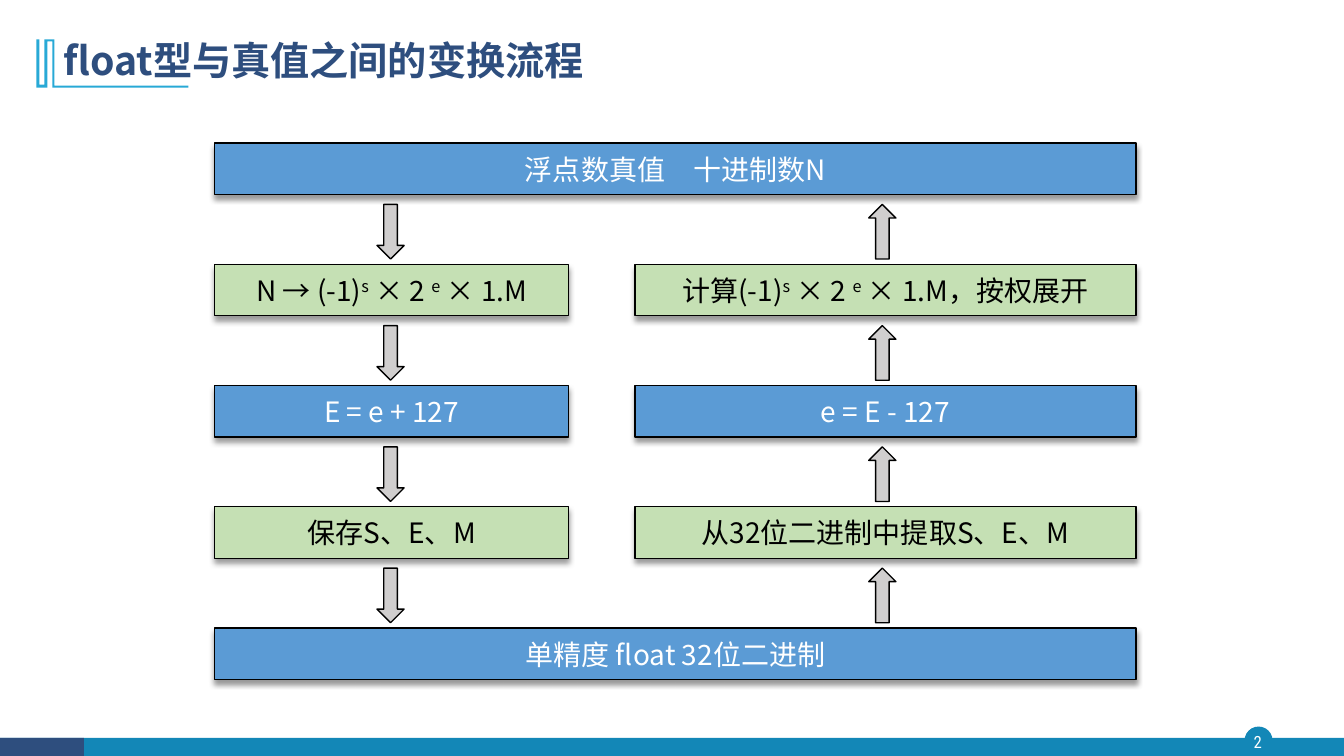
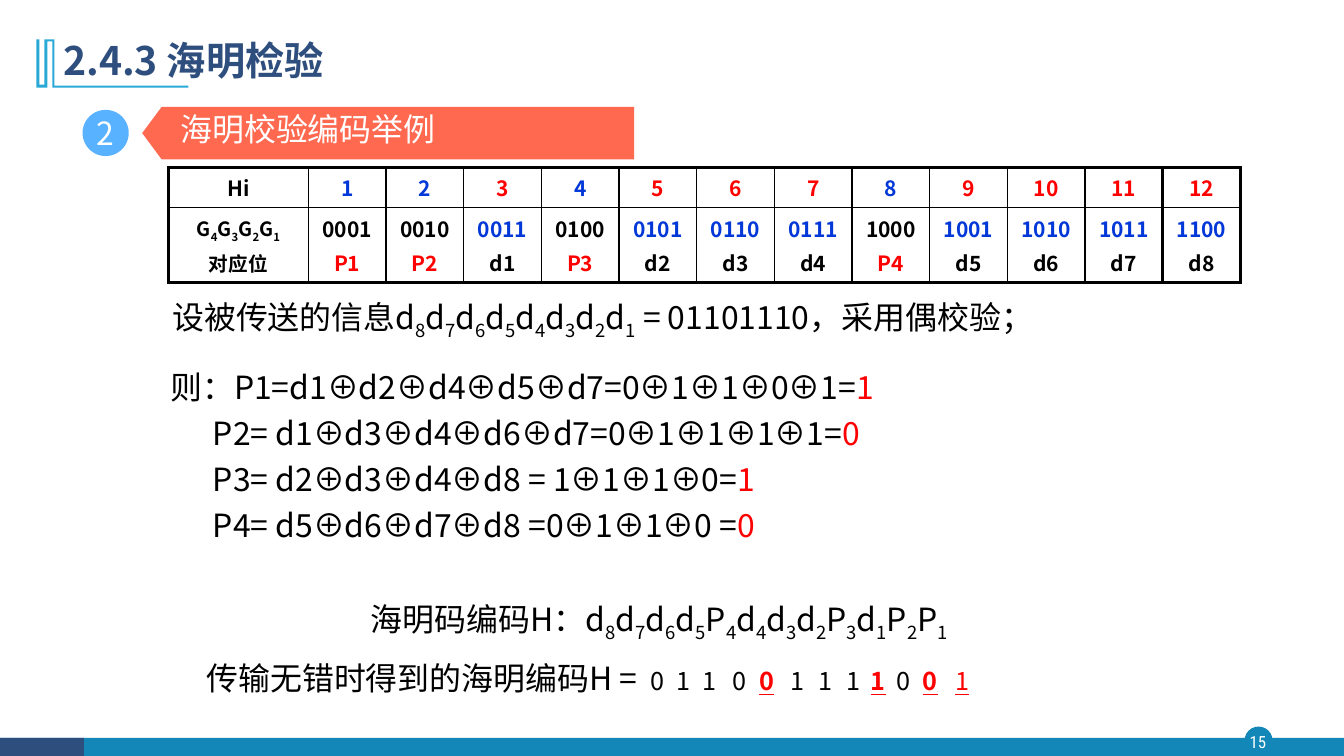
import pptx
import pptx.dml.color
import pptx.enum.shapes
import pptx.enum.text
import pptx.oxml.ns
import pptx.util
from lxml import etree

Pt = pptx.util.Pt
SHAPE = pptx.enum.shapes.MSO_SHAPE
ALIGN = pptx.enum.text.PP_ALIGN
MIDDLE = pptx.enum.text.MSO_ANCHOR.MIDDLE
qn = pptx.oxml.ns.qn

# Shared look
FONT = "Noto Sans CJK SC"
NUMBER_FONT = "Roboto Condensed"
COLORS = {
    "navy": "2E4E7E", "teal": "1387B7", "cyan": "28A9D6",
    "white": "FFFFFF", "black": "000000", "red": "FF0000", "blue": "0237D8",
    "box_blue": "5B9BD5", "box_green": "C5E0B4", "arrow": "D0CECE",
    "badge": "59B2FF", "banner": "FF6950",
}
BODY_SIZE = 22.8
# Title ornament outline, in tenths of a point
ORNAMENT = [(389, 281), (389, 612), (1346, 612), (1346, 626), (374, 626),
            (374, 295), (338, 295), (338, 626), (259, 626), (259, 281),
            (281, 281), (281, 605), (317, 605), (317, 281)]

# Content: text is a list of spans, each (text, style)
SUPER = {"baseline": 30000}
SUB = {"baseline": -25000}
RED = {"color": "red"}
MARKED = {"color": "red", "underline": True}
MARKED_BOLD = {**MARKED, "bold": True}

FLOW = {
    "title": "float型与真值之间的变换流程",
    "number": "2",
    "start": [("浮点数真值　十进制数N", {})],
    "end": [("单精度 float 32位二进制", {})],
    "down": [
        [("N → (-1)", {}), ("s", SUPER), (" × 2 ", {}), ("e", SUPER),
         (" × 1.M", {})],
        [("E = e + 127", {})],
        [("保存S、E、M", {})],
    ],
    "up": [
        [("计算(-1)", {}), ("s", SUPER), (" × 2 ", {}), ("e", SUPER),
         (" × 1.M，按权展开", {})],
        [("e = E - 127", {})],
        [("从32位二进制中提取S、E、M", {})],
    ],
}

HAMMING = {
    "title": "2.4.3 海明检验",
    "number": "15",
    "badge": "2",
    "banner": "海明校验编码举例",
    "message": ("设被传送的信息", "d8d7d6d5d4d3d2d1", " = 01101110，采用偶校验；"),
    "parity": [
        ("则：P1=d1⊕d2⊕d4⊕d5⊕d7=0⊕1⊕1⊕0⊕1=", "1"),
        ("P2= d1⊕d3⊕d4⊕d6⊕d7=0⊕1⊕1⊕1⊕1=", "0"),
        ("P3= d2⊕d3⊕d4⊕d8 = 1⊕1⊕1⊕0=", "1"),
        ("P4= d5⊕d6⊕d7⊕d8 =0⊕1⊕1⊕0 =", "0"),
    ],
    "code": ("海明码编码H：", "d8d7d6d5P4d4d3d2P3d1P2P1"),
    "result": "传输无错时得到的海明编码H =",
    # Each digit: value, centre of its tab stop, style
    "digits": [
        ("0", 322, {}), ("1", 341, {}), ("1", 359, {}), ("0", 381, {}),
        ("0", 400, MARKED_BOLD), ("1", 422, {}), ("1", 442, {}),
        ("1", 462, {}), ("1", 480, MARKED_BOLD), ("0", 498, {}),
        ("0", 517, MARKED_BOLD), ("1", 540, MARKED),
    ],
}
POSITIONS = 12


def rgb(name):
    return pptx.dml.color.RGBColor.from_string(COLORS[name])


def indexed(symbols):
    """Turn 'd8d7' into letters followed by subscript digits."""
    return [(sign, SUB if sign.isdigit() else {}) for sign in symbols]


def write(para, spans, size=BODY_SIZE, color="black", bold=False,
          font=FONT, align=None):
    """Fill a paragraph with spans over one common font."""
    if align is not None:
        para.alignment = align
    para.font.name = font
    etree.SubElement(para.font._rPr, qn("a:ea")).set("typeface", font)
    para.font.size = Pt(size)
    para.font.bold = bold
    para.font.color.rgb = rgb(color)
    for text, style in spans:
        span = para.add_run()
        span.text = text
        if "size" in style:
            span.font.size = Pt(style["size"])
        if "bold" in style:
            span.font.bold = style["bold"]
        if "underline" in style:
            span.font.underline = style["underline"]
        if "color" in style:
            span.font.color.rgb = rgb(style["color"])
        if "baseline" in style:
            span._r.get_or_add_rPr().set("baseline", str(style["baseline"]))


def indent(para, left):
    para._p.get_or_add_pPr().set("marL", str(Pt(left)))


def set_tabs(para, stops):
    tabs = etree.SubElement(para._p.get_or_add_pPr(), qn("a:tabLst"))
    for stop in stops:
        etree.SubElement(tabs, qn("a:tab"), pos=str(Pt(stop)), algn="ctr")


def paint(shape, fill, outlined=False):
    shape.shadow.inherit = False
    shape.fill.solid()
    shape.fill.fore_color.rgb = rgb(fill)
    if outlined:
        shape.line.color.rgb = rgb("black")
        shape.line.width = Pt(1)
    else:
        shape.line.fill.background()
    return shape


def add_shape(page, kind, place, fill, outlined=False):
    shape = page.shapes.add_shape(kind, *map(Pt, place))
    return paint(shape, fill, outlined)


def add_text_box(page, place):
    box = page.shapes.add_textbox(*map(Pt, place))
    box.text_frame.word_wrap = True
    return box.text_frame


def clear_margins(frame):
    frame.margin_left = frame.margin_right = 0
    frame.margin_top = frame.margin_bottom = 0


def add_page(deck, content):
    """Add a slide with footer band, page number, ornament and title."""
    page = deck.slides.add_slide(deck.slide_layouts[5])
    add_shape(page, SHAPE.OVAL, (889, 519, 20, 20), "teal")
    add_shape(page, SHAPE.RECTANGLE, (0, 527, 960, 13), "teal")
    add_shape(page, SHAPE.RECTANGLE, (0, 527, 60, 13), "navy")
    number = add_text_box(page, (887, 519, 23, 22))
    clear_margins(number)
    number.vertical_anchor = MIDDLE
    write(number.paragraphs[0], [(content["number"], {})], 12, "white",
          font=NUMBER_FONT, align=ALIGN.CENTER)

    outline = page.shapes.build_freeform(*ORNAMENT[0], scale=Pt(1) / 10)
    outline.add_line_segments(ORNAMENT[1:], close=True)
    paint(outline.convert_to_shape(), "cyan")

    title = page.shapes.title
    title.left, title.top, title.width, title.height = map(
        Pt, (38, 20, 828, 49))
    title.text_frame.vertical_anchor = MIDDLE
    para = title.text_frame.paragraphs[0]
    para.line_spacing = 0.9
    write(para, [(content["title"], {})], 28, "navy", True, align=ALIGN.LEFT)
    return page


def add_flow_box(page, left, top, width, spans, fill):
    box = add_shape(page, SHAPE.RECTANGLE, (left, top, width, 36.8), fill, True)
    effects = box._element.spPr.find(qn("a:effectLst"))
    shadow = etree.SubElement(effects, qn("a:outerShdw"), blurRad=str(Pt(4)),
                              dist=str(Pt(3)), dir="5400000", rotWithShape="0")
    tint = etree.SubElement(shadow, qn("a:srgbClr"), val=COLORS["black"])
    etree.SubElement(tint, qn("a:alpha"), val="40000")
    box.text_frame.word_wrap = True
    box.text_frame.vertical_anchor = MIDDLE
    write(box.text_frame.paragraphs[0], spans, 20,
          "white" if fill == "box_blue" else "black", align=ALIGN.CENTER)


def build_flow(deck):
    page = add_page(deck, FLOW)
    top, pitch, left, width = 102.2, 86.6, 153.4, 658
    for row, key in ((0, "start"), (4, "end")):
        add_flow_box(page, left, top + row * pitch, width, FLOW[key], "box_blue")

    # Each column: texts, box left and width, arrow left and kind
    columns = [("down", left, 252.7, 269.3, SHAPE.DOWN_ARROW),
               ("up", 453.6, 357.8, 620.6, SHAPE.UP_ARROW)]
    for key, box_left, box_width, arrow_left, arrow in columns:
        for row, spans in enumerate(FLOW[key], 1):
            fill = "box_green" if row % 2 else "box_blue"
            add_flow_box(page, box_left, top + row * pitch, box_width, spans, fill)
        for row in range(4):
            add_shape(page, arrow, (arrow_left, top + row * pitch + 43.8, 19.4, 39),
                      "arrow", True)


def style_cell(cell, lines, edges):
    """Write lines of (spans, size, colour) and draw the four borders."""
    props = cell._tc.get_or_add_tcPr()
    for side, weight in zip("LRTB", edges):
        line = etree.SubElement(props, qn("a:ln" + side), w=str(Pt(weight)))
        fill = etree.SubElement(line, qn("a:solidFill"))
        etree.SubElement(fill, qn("a:srgbClr"), val=COLORS["black"])
    cell.fill.solid()
    cell.fill.fore_color.rgb = rgb("white")
    cell.vertical_anchor = MIDDLE
    cell.margin_left = cell.margin_right = Pt(6.5)
    for index, (spans, size, color) in enumerate(lines):
        frame = cell.text_frame
        para = frame.add_paragraph() if index else frame.paragraphs[0]
        if index:
            para.space_before = Pt(3)
        write(para, spans, size, color, True, align=ALIGN.CENTER)


def add_code_table(page):
    widths, heights = [100] + [55.5] * POSITIONS, [28.8, 53.6]
    table = page.shapes.add_table(2, POSITIONS + 1, Pt(120.3), Pt(119.6),
                                  Pt(sum(widths)), Pt(sum(heights))).table
    table.first_row = table.horz_banding = False
    for column, width in zip(table.columns, widths):
        column.width = Pt(width)
    for row, height in zip(table.rows, heights):
        row.height = Pt(height)

    # Check bits sit at powers of two, data bits everywhere else
    columns = [([([("Hi", {})], 15, "black")],
                [(indexed("G4G3G2G1"), 14, "black"),
                 ([("对应位", {})], 14, "black")])]
    checks = 0
    for position in range(1, POSITIONS + 1):
        is_check = position & (position - 1) == 0
        checks += is_check
        label = f"P{checks}" if is_check else f"d{position - checks}"
        head, code, mark = (("blue", "black", "red") if is_check
                            else ("red", "blue", "black"))
        columns.append(([([(str(position), {})], 15, head)],
                        [([(f"{position:04b}", {})], 15, code),
                         ([(label, {})], 15, mark)]))

    thick, thin = 2.25, 1
    for index, cells in enumerate(columns):
        left = thick if index in (0, POSITIONS) else thin
        right = thick if index >= POSITIONS - 1 else thin
        for row, lines in enumerate(cells):
            above, below = (thin, thick) if row else (thick, thin)
            style_cell(table.cell(row, index), lines, (left, right, above, below))


def build_hamming(deck):
    page = add_page(deck, HAMMING)

    # Section heading
    badge = add_shape(page, SHAPE.OVAL, (59, 78.5, 33, 33), "badge")
    clear_margins(badge.text_frame)
    badge.text_frame.vertical_anchor = MIDDLE
    write(badge.text_frame.paragraphs[0], [(HAMMING["badge"], {})],
          color="white", align=ALIGN.CENTER)
    banner = add_shape(page, SHAPE.PENTAGON, (101.6, 76.4, 351.4, 37.4), "banner")
    banner.adjustments[0] = 0.37
    banner._element.spPr.find(qn("a:xfrm")).set("flipH", "1")
    heading = add_text_box(page, (121.7, 75, 331, 40))
    write(heading.paragraphs[0], [(HAMMING["banner"], {})], color="white")

    add_code_table(page)

    # Message and parity equations
    before, symbols, after = HAMMING["message"]
    message = add_text_box(page, (116, 209, 684, 40))
    write(message.paragraphs[0], [(before, {}), *indexed(symbols), (after, {})])
    parity = add_text_box(page, (114.5, 259, 751, 159))
    for index, (equation, bit) in enumerate(HAMMING["parity"]):
        para = parity.add_paragraph() if index else parity.paragraphs[0]
        if index:
            para.space_before = Pt(5.6)
            indent(para, 30.5)
        write(para, [(equation, {}), (bit, RED)])

    # Resulting code
    code = add_text_box(page, (140.4, 425, 751, 85))
    label, symbols = HAMMING["code"]
    indent(code.paragraphs[0], 117.5)
    write(code.paragraphs[0], [(label, {}), *indexed(symbols)])
    result = code.add_paragraph()
    result.space_before = Pt(11)
    set_tabs(result, [stop for _, stop, _ in HAMMING["digits"]])
    spans = [(HAMMING["result"], {})]
    for digit, _, style in HAMMING["digits"]:
        spans += [("\t", {"size": 18}), (digit, {"size": 18, **style})]
    write(result, spans)


def main():
    deck = pptx.Presentation()
    deck.slide_width, deck.slide_height = Pt(960), Pt(540)
    build_flow(deck)
    build_hamming(deck)
    deck.save("out.pptx")


if __name__ == "__main__":
    main()
